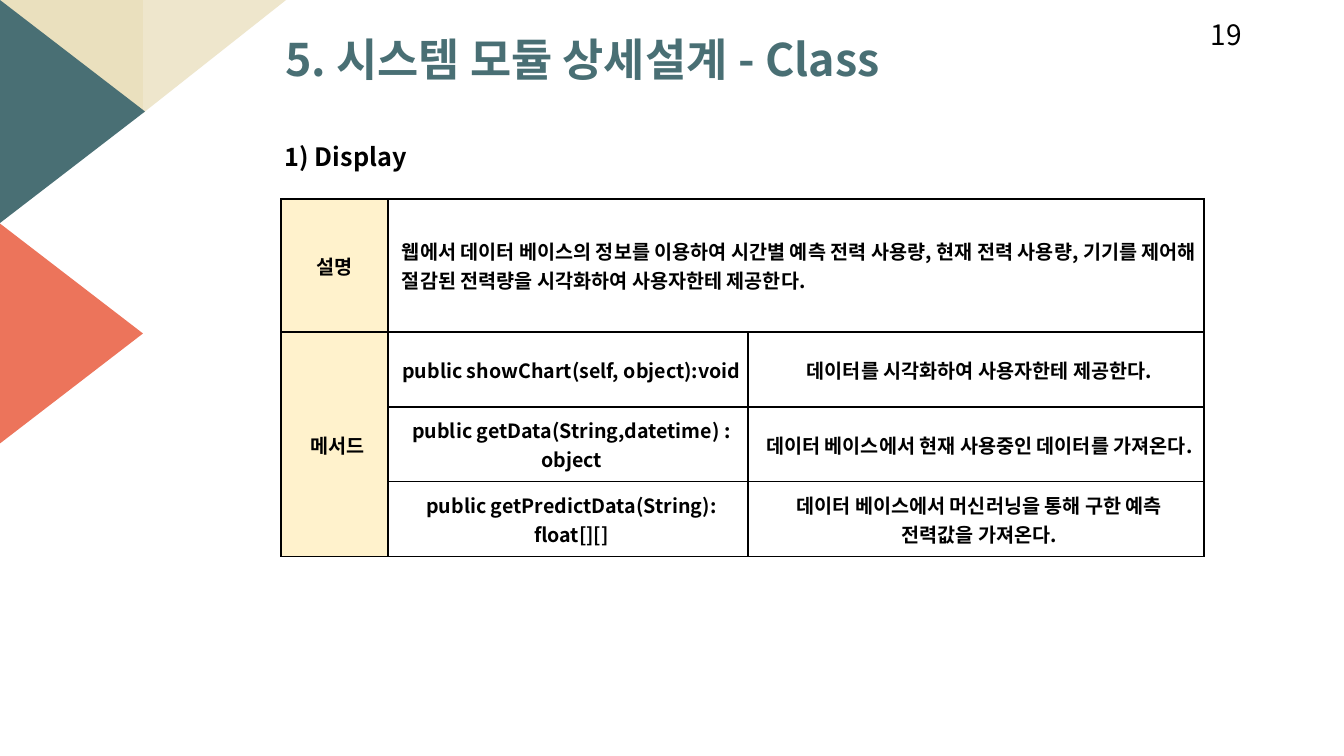
from lxml.etree import SubElement
from pptx import Presentation
from pptx.dml.color import RGBColor
from pptx.enum.shapes import MSO_SHAPE
from pptx.enum.text import MSO_ANCHOR, MSO_AUTO_SIZE, PP_ALIGN
from pptx.oxml.ns import qn
from pptx.util import Emu, Pt

FONT = "Noto Sans CJK KR"
TEAL = RGBColor(0x49, 0x6F, 0x74)
CORAL = RGBColor(0xEC, 0x74, 0x5B)
SAND = RGBColor(0xEA, 0xE0, 0xBE)
LIGHT_SAND = RGBColor(0xEE, 0xE6, 0xCC)
CREAM = RGBColor(0xFF, 0xF2, 0xCC)
WHITE = RGBColor(0xFF, 0xFF, 0xFF)
BLACK = RGBColor(0, 0, 0)

# Content
TITLE = "5. 시스템 모듈 상세설계 - Class"
SUBTITLE = "1) Display"
PAGE_NUMBER = "19"
DESCRIPTION = ("설명", "웹에서 데이터 베이스의 정보를 이용하여 시간별 예측 전력 사용량, 현재 전력 사용량, "
               "기기를 제어해 절감된 전력량을 시각화하여 사용자한테 제공한다.")
METHOD_LABEL = "메서드"
METHODS = [
    ("public showChart(self, object):void", "데이터를 시각화하여 사용자한테 제공한다."),
    ("public getData(String,datetime) : object", "데이터 베이스에서 현재 사용중인 데이터를 가져온다."),
    ("public getPredictData(String): float[][]", "데이터 베이스에서 머신러닝을 통해 구한 예측 전력값을 가져온다."),
]

# Layout in px: left, top, width, height
TRIANGLES = [  # preset, box, rotation, mirrored, colour
    (MSO_SHAPE.RIGHT_TRIANGLE, (0, 0, 143, 113), 180, False, SAND),
    (MSO_SHAPE.RIGHT_TRIANGLE, (143, 0, 143, 113), 180, True, LIGHT_SAND),
    (MSO_SHAPE.ISOSCELES_TRIANGLE, (-39, 39, 223, 145), 90, False, TEAL),
    (MSO_SHAPE.ISOSCELES_TRIANGLE, (-41, 261, 223, 145), 90, False, CORAL),
]
TITLE_BOX = (275, 33, 778, 60)
SUBTITLE_BOX = (275, 136, 728, 40)
PAGE_BOX = (1201, 16, 130, 40)
TABLE_LEFT, TABLE_TOP = 281, 199
COLUMN_WIDTHS = [107, 360, 456]
ROW_HEIGHTS = [133] + [75] * len(METHODS)


def px(length):
    return Emu(round(length * 914400 / 100.8))


def box(lengths):
    return [px(length) for length in lengths]


def format_paragraph(paragraph, size, color, bold=True, align=PP_ALIGN.LEFT):
    paragraph.alignment = align
    for run in paragraph.runs:
        run.font.name = FONT
        run.font.size = Pt(size)
        run.font.bold = bold
        run.font.color.rgb = color
        SubElement(run.font._element, qn("a:ea"), typeface=FONT)


def fill_frame(shape, text, size, color, bold=True, anchor=MSO_ANCHOR.TOP):
    frame = shape.text_frame
    frame.text = text
    frame.word_wrap = True
    frame.auto_size = MSO_AUTO_SIZE.NONE
    frame.vertical_anchor = anchor
    paragraph = frame.paragraphs[0]
    format_paragraph(paragraph, size, color, bold)
    return paragraph


def fill_cell(cell, text, align=PP_ALIGN.CENTER, indented=True):
    cell.text = text
    paragraph = cell.text_frame.paragraphs[0]
    format_paragraph(paragraph, 14, BLACK, align=align)
    if indented:
        paragraph.space_before = Pt(12)
        paragraph._p.get_or_add_pPr().set("marL", str(px(7)))


def style_cell(cell, color):
    cell.margin_left = cell.margin_right = px(7)
    cell.margin_top = cell.margin_bottom = px(1)
    cell.vertical_anchor = MSO_ANCHOR.MIDDLE
    properties = cell._tc.get_or_add_tcPr()
    for side in ("a:lnL", "a:lnR", "a:lnT", "a:lnB"):
        line = SubElement(properties, qn(side), w=str(Pt(1)))
        SubElement(SubElement(line, qn("a:solidFill")), qn("a:srgbClr"), val=str(BLACK))
    cell.fill.solid()
    cell.fill.fore_color.rgb = color


presentation = Presentation()
presentation.slide_width, presentation.slide_height = px(1344), px(756)
slide = presentation.slides.add_slide(presentation.slide_layouts[5])

# Corner triangles
for preset, bounds, rotation, mirrored, color in TRIANGLES:
    triangle = slide.shapes.add_shape(preset, *box(bounds))
    triangle.rotation = rotation
    triangle.shadow.inherit = False
    triangle.fill.solid()
    triangle.fill.fore_color.rgb = color
    triangle.line.fill.background()
    if mirrored:
        triangle._element.spPr.xfrm.set("flipH", "1")

# Title, subtitle and page number
title = slide.shapes.title
title.left, title.top, title.width, title.height = box(TITLE_BOX)
title_paragraph = fill_frame(title, TITLE, 32, TEAL)
title_paragraph.line_spacing = 0.9
title_paragraph.space_before = Pt(10)

fill_frame(slide.shapes.add_textbox(*box(SUBTITLE_BOX)), SUBTITLE, 18, BLACK, anchor=MSO_ANCHOR.MIDDLE)
page_paragraph = fill_frame(slide.shapes.add_textbox(*box(PAGE_BOX)), PAGE_NUMBER, 20, BLACK, bold=False)
page_paragraph.line_spacing = 0.9

# Class table
table_bounds = (TABLE_LEFT, TABLE_TOP, sum(COLUMN_WIDTHS), sum(ROW_HEIGHTS))
table = slide.shapes.add_table(len(ROW_HEIGHTS), len(COLUMN_WIDTHS), *box(table_bounds)).table
table.first_row = table.horz_banding = False
for column, width in zip(table.columns, COLUMN_WIDTHS):
    column.width = px(width)
for row, height in zip(table.rows, ROW_HEIGHTS):
    row.height = px(height)
    for index, cell in enumerate(row.cells):
        style_cell(cell, CREAM if index == 0 else WHITE)

table.cell(0, 1).merge(table.cell(0, 2))
table.cell(1, 0).merge(table.cell(len(METHODS), 0))
fill_cell(table.cell(0, 0), DESCRIPTION[0], indented=False)
fill_cell(table.cell(0, 1), DESCRIPTION[1], align=PP_ALIGN.LEFT)
fill_cell(table.cell(1, 0), METHOD_LABEL)
for row_index, method in enumerate(METHODS, start=1):
    for column_index, text in enumerate(method, start=1):
        fill_cell(table.cell(row_index, column_index), text)

presentation.save("out.pptx")
